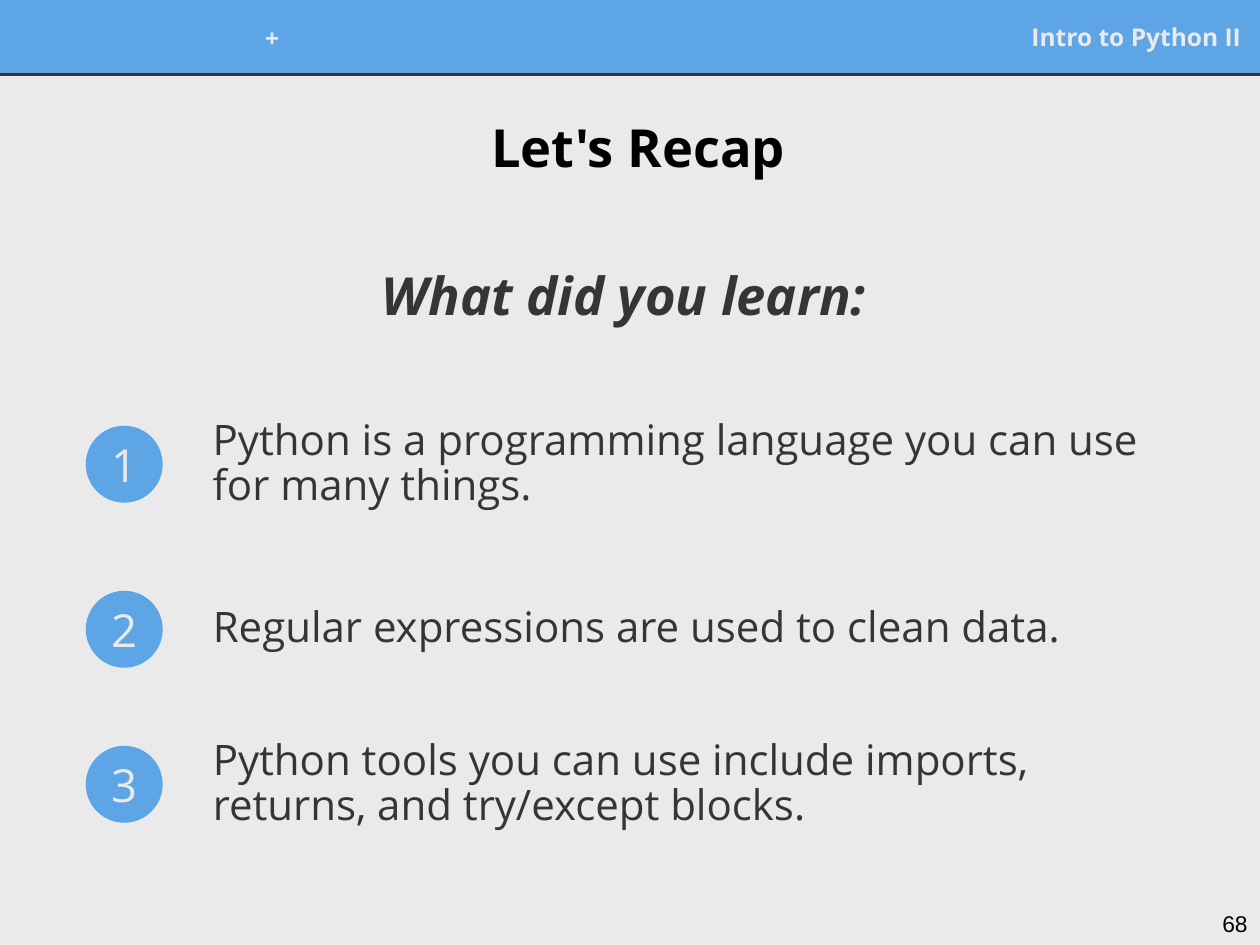
from dataclasses import dataclass
from lxml.etree import SubElement
from pptx import Presentation
from pptx.dml.color import RGBColor
from pptx.enum.shapes import MSO_CONNECTOR, MSO_SHAPE
from pptx.enum.text import MSO_ANCHOR, PP_ALIGN
from pptx.oxml.ns import qn
from pptx.util import Pt


@dataclass(frozen=True)
class Theme:
    face: str = "Open Sans"
    plain: str = "Arial"
    back: str = "EAEAEA"
    blue: str = "5EA5E5"
    dark: str = "353535"
    black: str = "000000"
    head: int = 30
    badge: int = 26
    body: int = 24
    bar: int = 14
    page: int = 13


THEME = Theme()
WIDE, HIGH = 720, 540
BAR = 42.5
DISC = 44
ITEMS = [
    ("Python is a programming language you can use for many things.", 265.3, 556.6, 87),
    ("Regular expressions are used to clean data.", 359.6, 533.5, 59),
    ("Python tools you can use include imports, returns, and try/except blocks.", 448.2, 527, 59),
]


def paint(fill, color):
    fill.solid()
    fill.fore_color.rgb = RGBColor.from_string(color)


def write(shape, text, size, color, align=PP_ALIGN.CENTER, bold=False,
          slant=False, face=THEME.face, anchor=MSO_ANCHOR.MIDDLE):
    frame = shape.text_frame
    frame.text = text
    frame.word_wrap = True
    frame.vertical_anchor = anchor
    frame.margin_left = frame.margin_right = Pt(7.2)
    frame.margin_top = frame.margin_bottom = Pt(7.2)
    para = frame.paragraphs[0]
    para.alignment = align
    font = para.runs[0].font
    font.name, font.size = face, Pt(size)
    font.bold, font.italic = bold, slant
    font.color.rgb = RGBColor.from_string(color)
    return para


def label(shapes, box, text, size, color, **style):
    return write(shapes.add_textbox(*map(Pt, box)), text, size, color, **style)


def solid(shapes, kind, box, color):
    shape = shapes.add_shape(kind, *map(Pt, box))
    shape.shadow.inherit = False
    paint(shape.fill, color)
    shape.line.fill.background()
    return shape


def rule(shapes, top, color):
    line = shapes.add_connector(MSO_CONNECTOR.STRAIGHT, 0, Pt(top), Pt(WIDE), Pt(top))
    line.line.width = Pt(1.5)
    line.line.color.rgb = RGBColor.from_string(color)
    SubElement(line._element.spPr, qn("a:effectLst"))


def header(shapes):
    bar = solid(shapes, MSO_SHAPE.RECTANGLE, (0, 0, WIDE, BAR), THEME.blue)
    bar.line.color.rgb = RGBColor.from_string(THEME.blue)
    bar.line.width = Pt(0.75)
    rule(shapes, BAR, THEME.dark)
    label(shapes, (449.3, 7.2, 267, 27.4), "Intro to Python II", THEME.bar,
          THEME.back, align=PP_ALIGN.RIGHT, bold=True)
    label(shapes, (133.9, 7.9, 43.2, 27.4), "+", THEME.bar, THEME.back, bold=True)


def item(shapes, num, text, mid, width, height):
    group = shapes.add_group_shape().shapes
    disc = solid(group, MSO_SHAPE.OVAL, (49, mid - DISC / 2, DISC, DISC), THEME.blue)
    write(disc, str(num), THEME.badge, THEME.back)
    para = label(group, (114.5, mid - height / 2, width, height), text,
                 THEME.body, THEME.dark, align=PP_ALIGN.LEFT)
    para.line_spacing = 0.9


def main():
    deck = Presentation()
    deck.slide_width, deck.slide_height = Pt(WIDE), Pt(HIGH)
    slide = deck.slides.add_slide(deck.slide_layouts[6])
    paint(slide.background.fill, THEME.back)
    shapes = slide.shapes
    header(shapes)
    label(shapes, (676.8, 512.6, 43.2, 27.4), "68", THEME.page, THEME.black,
          align=PP_ALIGN.RIGHT, face=THEME.plain, anchor=MSO_ANCHOR.TOP)
    label(shapes, (17.3, 51.1, 694.8, 64.8), "Let's Recap", THEME.head,
          THEME.black, bold=True)
    label(shapes, (13, 128.2, 694.8, 80.6), "What did you learn: ", THEME.head,
          THEME.dark, bold=True, slant=True)
    for num, row in enumerate(ITEMS, 1):
        item(shapes, num, *row)
    deck.save("out.pptx")


if __name__ == "__main__":
    main()
